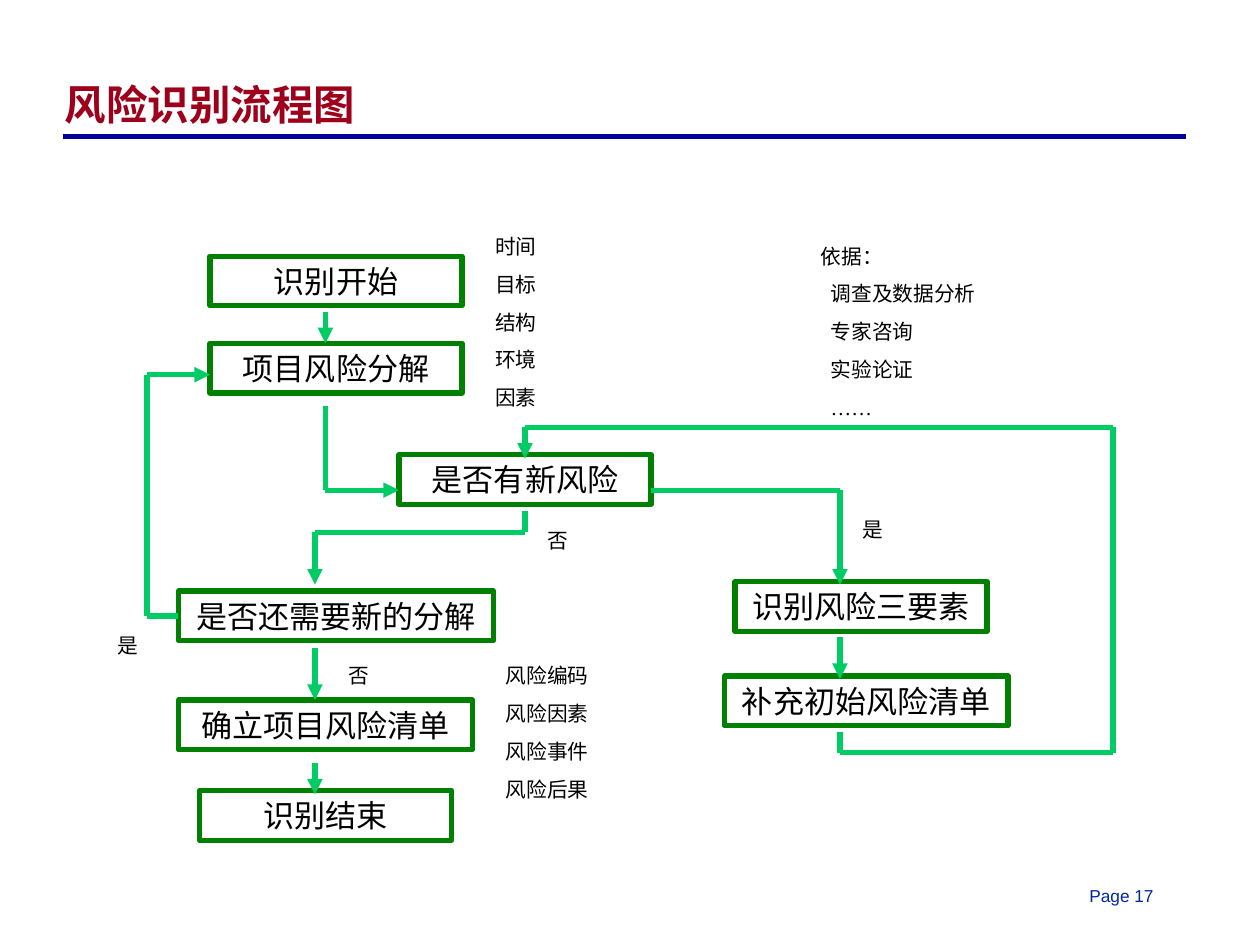
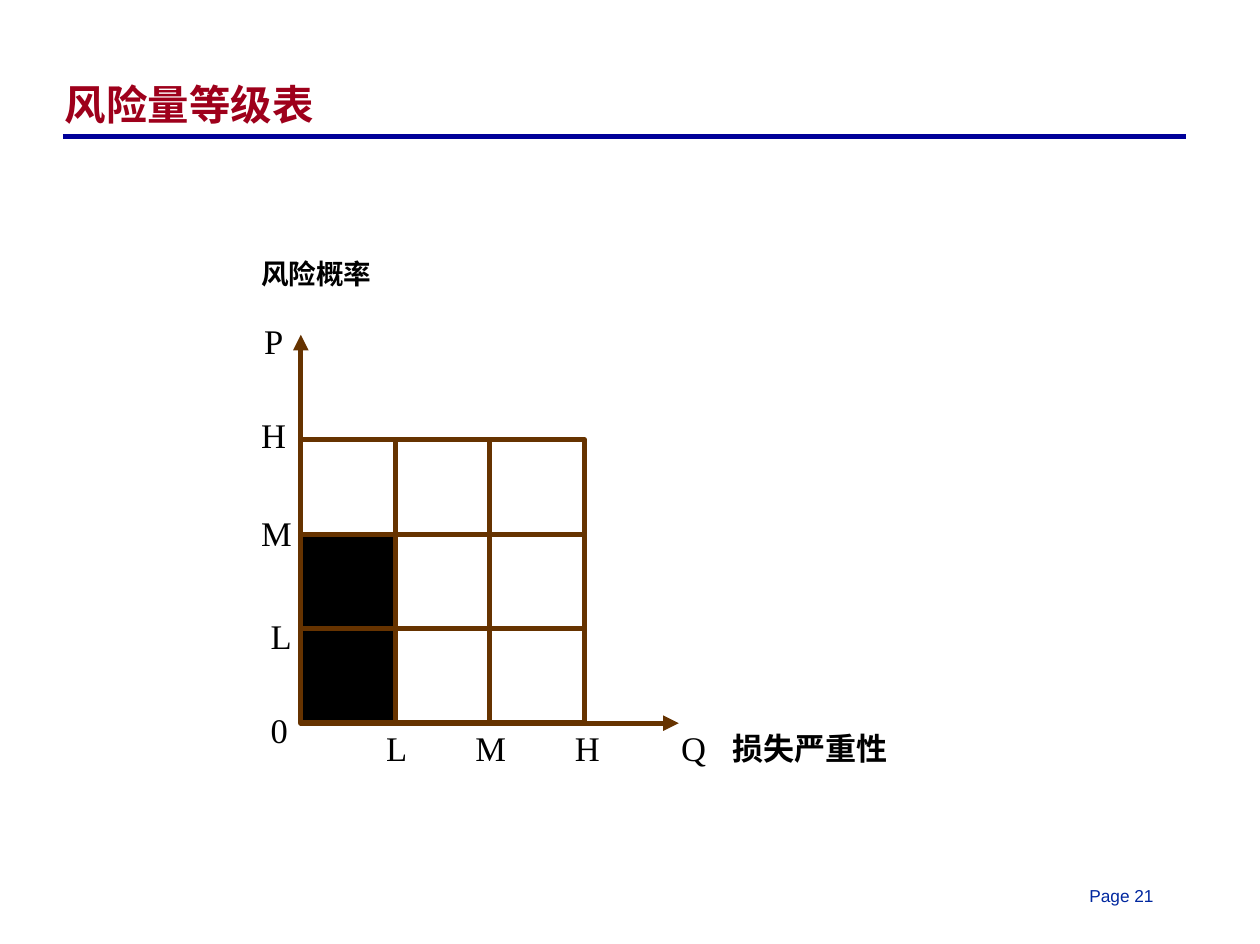
"""Build two risk slides: an identification flow chart and a grade matrix."""
from lxml import etree
from pptx import Presentation, util as u
from pptx.dml.color import RGBColor
from pptx.enum import shapes, text
from pptx.oxml.ns import qn

NAVY = RGBColor(0x00, 0x00, 0x99)
BLUE = RGBColor(0x00, 0x27, 0x9F)
RED = RGBColor(0x9E, 0x00, 0x1B)
GREEN = RGBColor(0x00, 0x80, 0x00)
MINT = RGBColor(0x00, 0xCC, 0x66)
BROWN = RGBColor(0x66, 0x33, 0x00)
BLACK = RGBColor(0x00, 0x00, 0x00)

deck = Presentation()
deck.slide_width, deck.slide_height = u.Inches(10.14), u.Inches(7.6)
UNIT = deck.slide_width / 120
RISE = 0.3
THICK = u.Pt(3)
SERIF = "Times New Roman"
HEAD = {"size": u.Pt(24), "name": "Arial", "bold": True}
FOOT = {"size": u.Pt(10), "name": "Arial"}
STEP = {"size": u.Pt(18), "name": SERIF}
NOTE = {"size": u.Pt(12), "name": SERIF}
MARK = {"size": u.Pt(20), "name": SERIF}


def write(shape, box, lines, style, color=BLACK, gap=0.625, fit=True):
    """Place a shape on the grid and fill it with formatted lines."""
    col, row, wide, high = box
    place = {"left": col, "top": row - RISE, "width": wide, "height": high}
    for key, value in place.items():
        setattr(shape, key, round(value * UNIT))
    frame = shape.text_frame
    kind = text.MSO_AUTO_SIZE
    frame.auto_size = kind.SHAPE_TO_FIT_TEXT if fit else kind.NONE
    frame.word_wrap = True
    frame.vertical_anchor = text.MSO_ANCHOR.TOP
    frame.text = "\n".join(lines)
    for para in frame.paragraphs:
        para.space_before = u.Pt(round(style["size"].pt * gap, 1))
        for run in para.runs:
            run.font.color.rgb = color
            for key, value in style.items():
                setattr(run.font, key, value)
    return frame


def route(slide, stops, color, arrow=True):
    """Join grid points with straight lines, with an arrow at the end."""
    for start, end in zip(stops, stops[1:]):
        ends = [round(n * UNIT) for x, y in (start, end) for n in (x, y - RISE)]
        line = slide.shapes.add_connector(shapes.MSO_CONNECTOR.STRAIGHT, *ends)
        line.line.color.rgb, line.line.width = color, THICK
        etree.SubElement(line._element.spPr, qn("a:effectLst"))
    if arrow:
        tip = etree.SubElement(line.line._get_or_add_ln(), qn("a:tailEnd"))
        tip.set("type", "triangle")
    return line


plain = deck.slide_layouts[5]
pages = []
for name, page in [("风险识别流程图", 17), ("风险量等级表", 21)]:
    slide = deck.slides.add_slide(plain)
    frame = write(slide.shapes.title, (5, 4.2, 107, 9), [name], HEAD, RED, 0, False)
    frame.vertical_anchor = text.MSO_ANCHOR.BOTTOM
    frame.paragraphs[0].alignment = text.PP_ALIGN.LEFT
    frame.paragraphs[0].line_spacing = 0.87
    foot = slide.shapes.add_textbox(0, 0, 0, 0)
    write(foot, (102.6, 84.1, 8.9, 3.2), [f"Page {page}"], FOOT, BLUE, 0)
    pages.append(slide)
flow, grade = pages

rule = route(flow, [(6, 13.3), (113, 13.3)], NAVY, False)
plain.shapes._spTree.append(rule._element)

steps = [
    ("识别开始", 20, 24.7, 24),
    ("项目风险分解", 20, 33, 24),
    ("是否还需要新的分解", 17, 56.6, 30),
    ("确立项目风险清单", 17, 67, 28),
    ("识别结束", 19, 75.6, 24),
    ("是否有新风险", 38, 43.6, 24),
    ("识别风险三要素", 70, 55.7, 24),
    ("补充初始风险清单", 69, 64.7, 27),
]
for name, col, row, wide in steps:
    step = flow.shapes.add_shape(shapes.MSO_SHAPE.RECTANGLE, 0, 0, 0, 0)
    step.shadow.inherit = False
    step.fill.background()
    step.line.color.rgb, step.line.width = GREEN, THICK
    frame = write(step, (col, row, wide, 4.75), [name], STEP)
    frame.paragraphs[0].alignment = text.PP_ALIGN.CENTER

routes = [
    [(31, 30), (31, 33)],
    [(31, 39), (31, 47), (38, 47)],
    [(17, 59), (14, 59), (14, 36), (20, 36)],
    [(50, 49), (50, 51), (30, 51), (30, 56)],
    [(30, 62), (30, 67)],
    [(30, 73), (30, 76)],
    [(62, 47), (80, 47), (80, 56)],
    [(80, 61), (80, 65)],
    [(80, 70), (80, 72), (106, 72), (106, 41), (50, 41), (50, 44)],
]
for stops in routes:
    route(flow, stops, MINT)

notes = [
    (["时间", "目标", "结构", "环境", "因素"], 46, 22, 7),
    (["否"], 51, 50, 4),
    (["是"], 81, 49, 6),
    (["是"], 10, 60, 5),
    (["否"], 32, 62.9, 11),
    (["风险编码", "风险因素", "风险事件", "风险后果"], 47, 62.9, 13),
    (["依据:".replace(":", "："), "调查及数据分析", "专家咨询", "实验论证", "……"], 77, 22.9, 33),
]
for lines, col, row, wide in notes:
    note = flow.shapes.add_textbox(0, 0, 0, 0)
    frame = write(note, (col, row, wide, 3.6 * len(lines)), lines, NOTE)
for para in frame.paragraphs[1:]:
    para._p.get_or_add_pPr().set("marL", str(u.Inches(0.08)))

CELL = 9
LEFT, BASE = 28.65, 69.2
route(grade, [(LEFT, BASE), (LEFT + 4 * CELL, BASE)], BROWN)
route(grade, [(LEFT, BASE), (LEFT, BASE - 37)], BROWN)
for col in range(3):
    for row in range(3):
        spot = (LEFT + col * CELL, BASE - RISE - (row + 1) * CELL, CELL, CELL)
        cell = grade.shapes.add_shape(
            shapes.MSO_SHAPE.RECTANGLE, *[round(n * UNIT) for n in spot])
        cell.shadow.inherit = False
        cell.line.color.rgb, cell.line.width = BROWN, THICK
        if col == 0 and row < 2:
            cell.fill.solid()
            cell.fill.fore_color.rgb = BLACK
        else:
            cell.fill.background()

marks = [
    ("H", 23.7, 39.2, 6), ("M", 23.7, 48.5, 5), ("L", 24.6, 58.3, 5),
    ("0", 24.6, 67.3, 4), ("P", 24, 30.2, 5), ("L", 35.6, 69, 5),
    ("M", 44.1, 69, 5), ("H", 53.6, 69, 6), ("Q", 63.7, 69, 5),
]
for name, col, row, wide in marks:
    mark = grade.shapes.add_textbox(0, 0, 0, 0)
    write(mark, (col, row, wide, 5.2), [name], MARK)

axes = [("风险概率", 16, (23.7, 24.2, 14, 4.4)), ("损失严重性", 18, (68.6, 69.2, 20, 4.75))]
for name, size, box in axes:
    axis = grade.shapes.add_textbox(0, 0, 0, 0)
    write(axis, box, [name], {"size": u.Pt(size), "name": SERIF, "bold": True})

deck.save("out.pptx")
